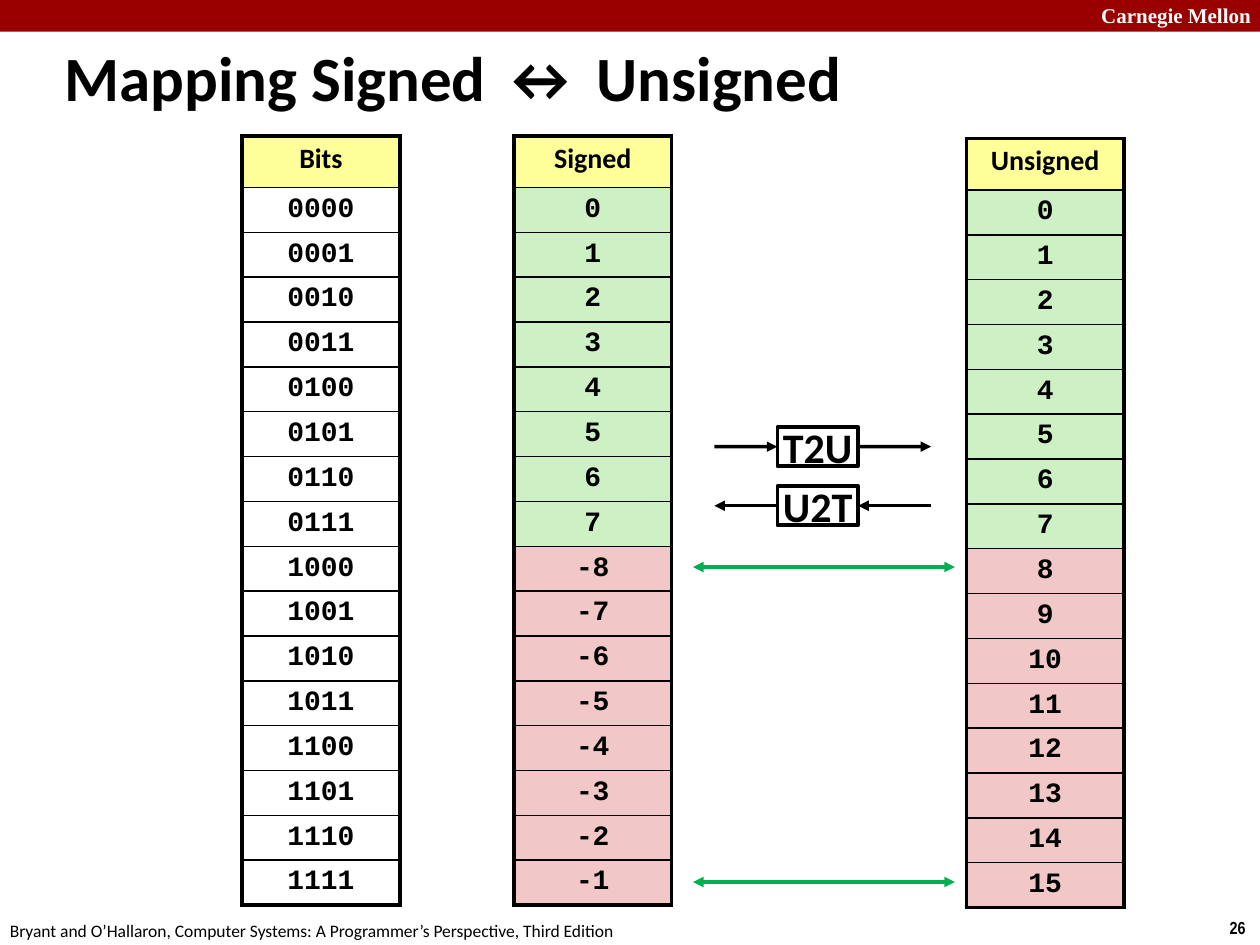
from lxml import etree
from pptx import Presentation
from pptx.dml.color import RGBColor
from pptx.enum.shapes import MSO_CONNECTOR, MSO_SHAPE
from pptx.enum.text import MSO_ANCHOR, MSO_AUTO_SIZE, PP_ALIGN
from pptx.oxml import parse_xml
from pptx.oxml.ns import nsdecls, qn
from pptx.util import Cm, Pt

BLACK = RGBColor(0x00, 0x00, 0x00)
WHITE = RGBColor(0xFF, 0xFF, 0xFF)
RED = RGBColor(0x99, 0x00, 0x00)
GREEN = RGBColor(0x00, 0xB0, 0x50)
YELLOW = RGBColor(0xFF, 0xFF, 0x99)
PALE_GREEN = RGBColor(0xCD, 0xF1, 0xC5)
PALE_RED = RGBColor(0xF1, 0xC7, 0xC7)


def write(frame, text, size=16, name="Calibri", color=BLACK, bold=True,
          align=PP_ALIGN.LEFT, spacing=1.0, anchor=MSO_ANCHOR.TOP, wrap=False):
    frame.word_wrap = wrap
    frame.vertical_anchor = anchor
    para = frame.paragraphs[0]
    para.alignment = align
    para.line_spacing = spacing
    para.space_before = Pt(0)
    span = para.add_run()
    span.text = text
    span.font.size = Pt(size)
    span.font.name = name
    span.font.bold = bold
    span.font.color.rgb = color


def add_arrow(left, right, y, color=BLACK, ends=("tailEnd",)):
    line = page.shapes.add_connector(
        MSO_CONNECTOR.STRAIGHT, Cm(left), Cm(y), Cm(right), Cm(y))
    line.line.color.rgb = color
    line.line.width = Pt(2)
    for end in ends:
        etree.SubElement(line.line._get_or_add_ln(), qn(f"a:{end}"), type="triangle")
    etree.SubElement(line._element.spPr, qn("a:effectLst"))
    return line


deck = Presentation()
deck.slide_width, deck.slide_height = Cm(25.4), Cm(19.05)
page = deck.slides.add_slide(deck.slide_layouts[5])

# Red band at the top
band = page.shapes.add_shape(MSO_SHAPE.RECTANGLE, 0, 0, Cm(25.4), Cm(0.64))
band.shadow.inherit = False
band.fill.solid()
band.fill.fore_color.rgb = RED
band.line.fill.background()

# Header, page number and footer
for left, top, width, text, look in [
    (21.95, -0.08, 3.63, "Carnegie Mellon",
     dict(size=12, name="Times New Roman", color=WHITE, wrap=True)),
    (24.54, 18.36, 0.86, "26", dict(size=10, name="Arial Narrow")),
    (-0.05, 18.42, 12.9, "Bryant and O’Hallaron, Computer Systems: "
     "A Programmer’s Perspective, Third Edition", dict(size=10, bold=False)),
]:
    box = page.shapes.add_textbox(Cm(left), Cm(top), Cm(width), Cm(0.69))
    write(box.text_frame, text, **look)

# Title
title = page.shapes.title
title.left, title.top, title.width, title.height = Cm(1.12), Cm(0.69), Cm(18.95), Cm(1.55)
frame = title.text_frame
frame.auto_size = MSO_AUTO_SIZE.NONE
frame.margin_left = frame.margin_right = Cm(0.18)
frame.margin_top = frame.margin_bottom = Cm(0.08)
write(frame, "Mapping Signed ↔ Unsigned", size=36)

# One-column tables: all 4-bit patterns and their two readings
patterns = range(16)
columns = [
    (4.88, 2.74, "Bits", [f"{n:04b}" for n in patterns], False),
    (10.36, 2.74, "Signed", [str(n if n < 8 else n - 16) for n in patterns], True),
    (19.48, 2.79, "Unsigned", [str(n) for n in patterns], True),
]
for left, top, heading, values, colored in columns:
    entries = [heading] + values
    table = page.shapes.add_table(
        len(entries), 1, Cm(left), Cm(top), Cm(3.18), Cm(15.44)).table
    table.first_row = table.horz_banding = False
    for index, entry in enumerate(entries):
        is_heading = index == 0
        table.rows[index].height = Cm(1.04 if is_heading else 0.9)
        cell = table.cell(index, 0)
        cell.margin_left = cell.margin_right = Cm(0.13)
        cell.margin_top = cell.margin_bottom = Cm(0.13)

        # Thick outer frame, thin rules between rows
        widths = {"L": 2.25, "R": 2.25, "T": 2.25 if is_heading else 1,
                  "B": 2.25 if index == len(values) else 1}
        for side, width in widths.items():
            cell._tc.get_or_add_tcPr().append(parse_xml(
                f'<a:ln{side} {nsdecls("a")} w="{Pt(width)}"><a:solidFill>'
                f'<a:srgbClr val="{BLACK}"/></a:solidFill></a:ln{side}>'))

        if is_heading or colored:
            cell.fill.solid()
            cell.fill.fore_color.rgb = (
                YELLOW if is_heading else PALE_GREEN if index <= 8 else PALE_RED)
        else:
            cell.fill.background()
        write(cell.text_frame, entry, align=PP_ALIGN.CENTER, spacing=0.95, wrap=True,
              name="Calibri" if is_heading else "Courier New",
              anchor=MSO_ANCHOR.TOP if is_heading else MSO_ANCHOR.MIDDLE)

# Conversion boxes with their arrows
for label, top, rightward in [("U2T", 9.8, False), ("T2U", 8.61, True)]:
    box = page.shapes.add_shape(
        MSO_SHAPE.RECTANGLE, Cm(15.67), Cm(top), Cm(1.63), Cm(0.79))
    box.shadow.inherit = False
    box.fill.solid()
    box.fill.fore_color.rgb = WHITE
    box.line.color.rgb = BLACK
    box.line.width = Pt(2)
    write(box.text_frame, label, size=24, align=PP_ALIGN.CENTER, anchor=MSO_ANCHOR.MIDDLE)
    middle = top + 0.395
    if rightward:
        add_arrow(14.4, 15.67, middle).end_connect(box, 1)
        add_arrow(17.3, 18.77, middle).begin_connect(box, 3)
    else:
        add_arrow(15.67, 14.4, middle).begin_connect(box, 1)
        add_arrow(18.77, 17.3, middle).end_connect(box, 3)

# Green arrows bounding the range where the readings differ
for y in (17.78, 11.43):
    add_arrow(13.97, 19.25, y, color=GREEN, ends=("headEnd", "tailEnd"))

deck.save("out.pptx")
